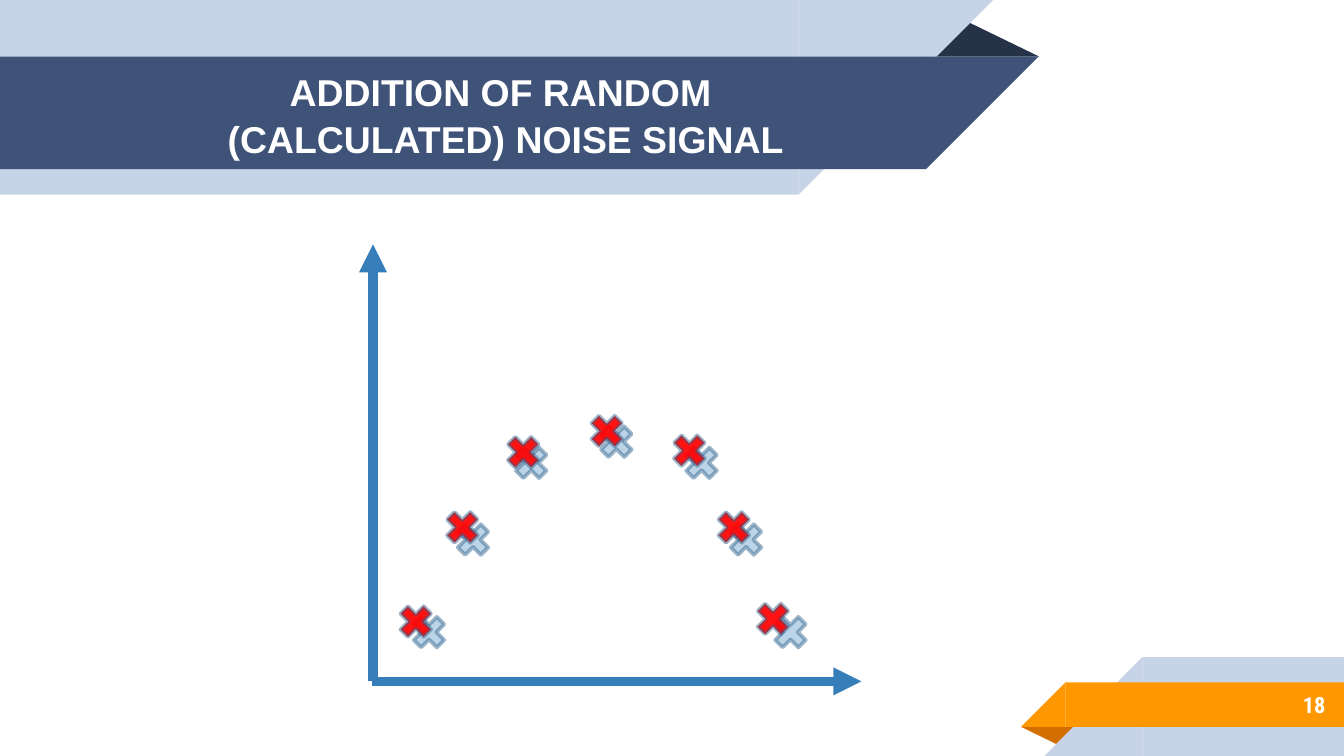
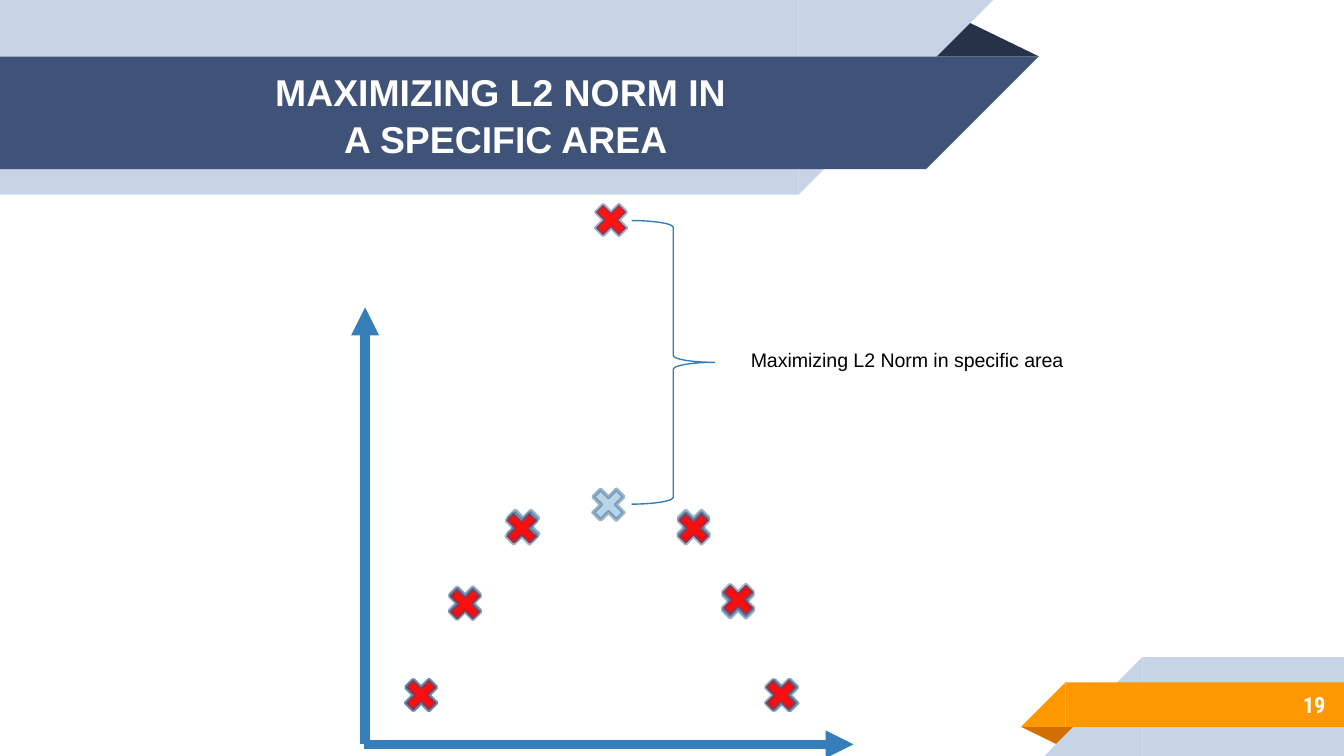
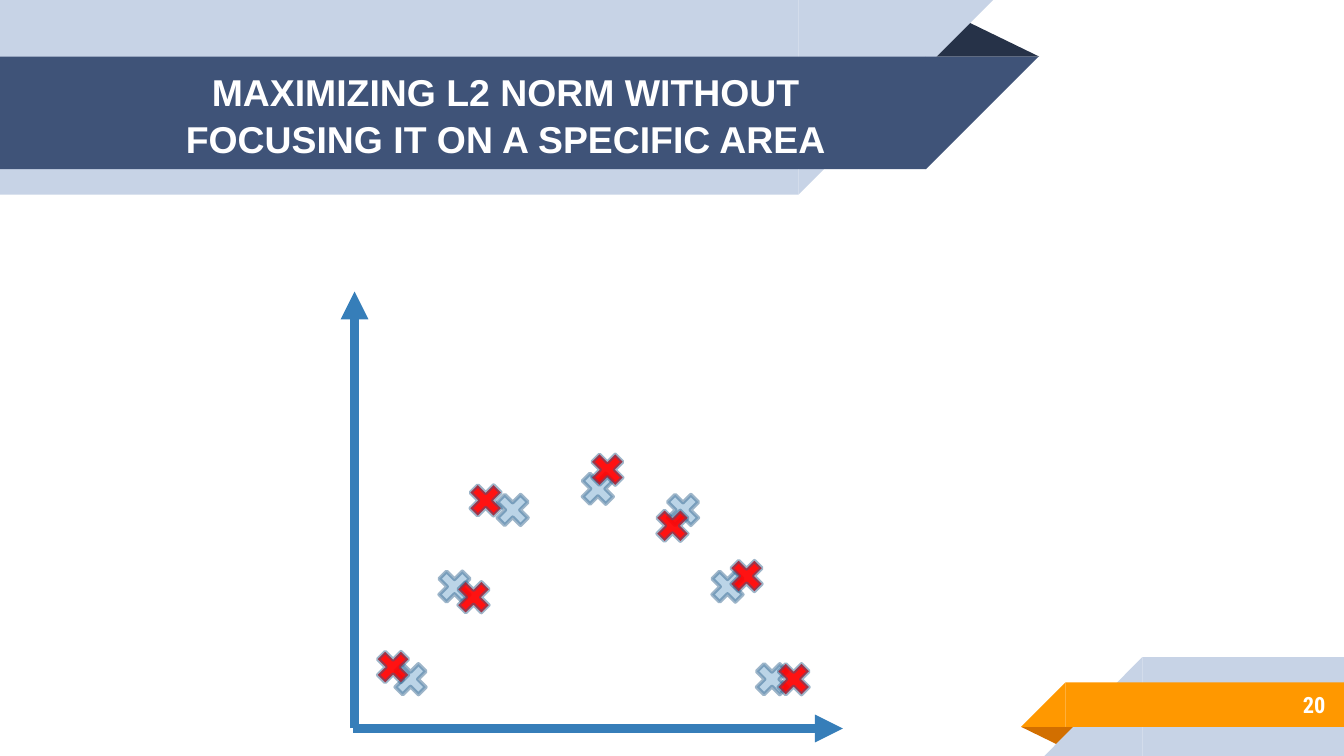
from lxml import etree
from pptx import Presentation
from pptx.dml.color import RGBColor
from pptx.enum.shapes import MSO_CONNECTOR, MSO_SHAPE
from pptx.enum.text import MSO_ANCHOR, MSO_AUTO_SIZE, PP_ALIGN
from pptx.oxml.ns import qn
from pptx.util import Cm, Pt

RECT = MSO_SHAPE.RECTANGLE
RIGHT = MSO_SHAPE.RIGHT_TRIANGLE
PEAK = MSO_SHAPE.ISOSCELES_TRIANGLE
CROSS = MSO_SHAPE.MATH_MULTIPLY
BRACE = MSO_SHAPE.RIGHT_BRACE
LINE = MSO_CONNECTOR.STRAIGHT
MIDDLE, TOP = MSO_ANCHOR.MIDDLE, MSO_ANCHOR.TOP
GROW = MSO_AUTO_SIZE.SHAPE_TO_FIT_TEXT
LEFT, CENTER, END = PP_ALIGN.LEFT, PP_ALIGN.CENTER, PP_ALIGN.RIGHT

PALE, NAVY, DARK = "C7D3E6", "3F5378", "263248"
ORANGE, RUST = "FF9800", "D26F00"
WHITE, BLACK = "FFFFFF", "000000"
BLUE, EDGE = "367EB9", "2B5F8A"

BANDS = [
    (PEAK, (17.48, 0.36, 2.16, 0.71), DARK, 0, False),
    (RECT, (0, 0, 15.09, 3.68), PALE, 0, False),
    (RIGHT, (15.09, 0, 3.68, 3.68), PALE, 180, True),
    (RECT, (0, 1.07, 17.5, 2.13), NAVY, 0, False),
    (RIGHT, (17.5, 1.07, 2.13, 2.13), NAVY, 180, True),
    (PEAK, (19.3, 13.74, 1.09, 0.36), RUST, 180, False),
    (RECT, (21.59, 12.42, 3.81, 1.87), PALE, 0, False),
    (RIGHT, (19.74, 12.42, 1.85, 1.87), PALE, 0, True),
    (RECT, (20.14, 12.9, 5.26, 0.84), ORANGE, 0, False),
    (RIGHT, (19.3, 12.9, 0.84, 0.84), ORANGE, 0, True),
]
TITLE = {"size": Pt(20), "name": "Arial", "bold": True}
PAGE = {"size": Pt(12), "name": "Roboto Condensed", "bold": True}
NOTE = {"size": Pt(10.5), "name": "Arial", "bold": False}

SIDE = 0.84
REACH, RISE = 9.23, 8.26
BASE = [(0.64, -1.35), (1.47, -3.1), (2.57, -4.55), (4.18, -4.95),
        (5.79, -4.55), (6.63, -3.1), (7.47, -1.35)]
BASE_LOOK = ("3A81BA", 34)
MOVED_LOOK = ("FF0000", 93)
EDGE_ALPHA = 46

SLIDES = [
    {"title": ["ADDITION OF RANDOM ", "(CALCULATED) NOISE SIGNAL"],
     "page": "18", "origin": (7.05, 12.88),
     "shifts": [(-0.25, -0.2), (-0.2, -0.23), (-0.15, -0.2), (-0.18, -0.2),
                (-0.23, -0.23), (-0.23, -0.23), (-0.33, -0.25)]},
    {"title": ["MAXIMIZING L2 NORM IN ", "A SPECIFIC AREA"],
     "page": "19", "origin": (6.9, 14.07),
     "shifts": [(0, 0), (0, 0.03), (-0.03, 0.05), (0.05, -5.38),
                (0, 0.05), (0, -0.05), (-0.03, 0)],
     "note": "Maximizing L2 Norm in specific area"},
    {"title": ["MAXIMIZING L2 NORM WITHOUT FOCUSING IT ON A SPECIFIC AREA"],
     "page": "20", "origin": (6.7, 13.77),
     "shifts": [(-0.33, -0.23), (0.36, 0.2), (-0.51, -0.18), (0.18, -0.36),
                (-0.2, 0.3), (0.36, -0.2), (0.41, 0)]},
]


def color(code):
    return RGBColor.from_string(code)


def shape(slide, kind, box, fill=None, line=None, width=0):
    item = slide.shapes.add_shape(kind, *map(Cm, box))
    item.shadow.inherit = False
    if fill:
        item.fill.solid()
        item.fill.fore_color.rgb = color(fill)
    else:
        item.fill.background()
    if line:
        item.line.color.rgb = color(line)
        item.line.width = Pt(width)
    else:
        item.line.fill.background()
    return item


def band(slide, kind, box, fill, turn, flip):
    item = shape(slide, kind, box, fill)
    item.rotation = turn
    if kind == PEAK:
        item.adjustments[0] = 0.324
    if flip:
        item._element.spPr.find(qn("a:xfrm")).set("flipH", "1")


def text(slide, box, lines, font, ink, align, anchor=MIDDLE, wrap=True, space=1.0):
    item = slide.shapes.add_textbox(*map(Cm, box))
    frame = item.text_frame
    frame.word_wrap = wrap
    frame.vertical_anchor = anchor
    if wrap:
        for side in ("left", "top", "right", "bottom"):
            setattr(frame, "margin_" + side, Cm(0.25))
    else:
        frame.auto_size = GROW
    para = frame.paragraphs[0]
    para.alignment = align
    para.line_spacing = space
    for i, line in enumerate(lines):
        if i:
            para.add_line_break()
        run = para.add_run()
        run.text = line
        for key, value in font.items():
            setattr(run.font, key, value)
        run.font.color.rgb = color(ink)


def arrow(slide, *ends):
    item = slide.shapes.add_connector(LINE, *map(Cm, ends))
    item.line.color.rgb = color(BLUE)
    item.line.width = Pt(5)
    props = item._element.spPr
    etree.SubElement(props.find(qn("a:ln")), qn("a:tailEnd"), type="triangle")
    etree.SubElement(props, qn("a:effectLst"))


def cross(slide, x, y, look):
    fill, alpha = look
    item = shape(slide, CROSS, (x, y, SIDE, SIDE), fill, EDGE, 2)
    tints = list(item._element.spPr.iter(qn("a:srgbClr")))
    for tint, part in zip(tints, (alpha, EDGE_ALPHA)):
        etree.SubElement(tint, qn("a:alpha"), val=str(part * 1000))


def plot(slide, origin, shifts):
    left, floor = origin
    arrow(slide, left - 0.02, floor, left + REACH, floor)
    arrow(slide, left, floor, left, floor - RISE)
    spots = [(left + x, floor + y) for x, y in BASE]
    for x, y in spots:
        cross(slide, x, y, BASE_LOOK)
    for (x, y), (dx, dy) in zip(spots, shifts):
        cross(slide, x + dx, y + dy, MOVED_LOOK)


def main():
    deck = Presentation()
    deck.slide_width, deck.slide_height = Cm(25.4), Cm(14.29)
    for data in SLIDES:
        slide = deck.slides.add_slide(deck.slide_layouts[6])
        for part in BANDS:
            band(slide, *part)
        text(slide, (2.26, 1.09, 14.6, 2.13), data["title"], TITLE, WHITE, CENTER, space=1.05)
        text(slide, (21.16, 12.88, 4.14, 0.89), [data["page"]], PAGE, WHITE, END)
        plot(slide, data["origin"], data["shifts"])
        if "note" in data:
            shape(slide, BRACE, (11.94, 4.17, 1.57, 5.36), line=BLUE, width=0.75)
            text(slide, (13.94, 6.45, 6.53, 0.71), [data["note"]], NOTE, BLACK, LEFT, TOP, False)
    deck.save("out.pptx")


if __name__ == "__main__":
    main()
